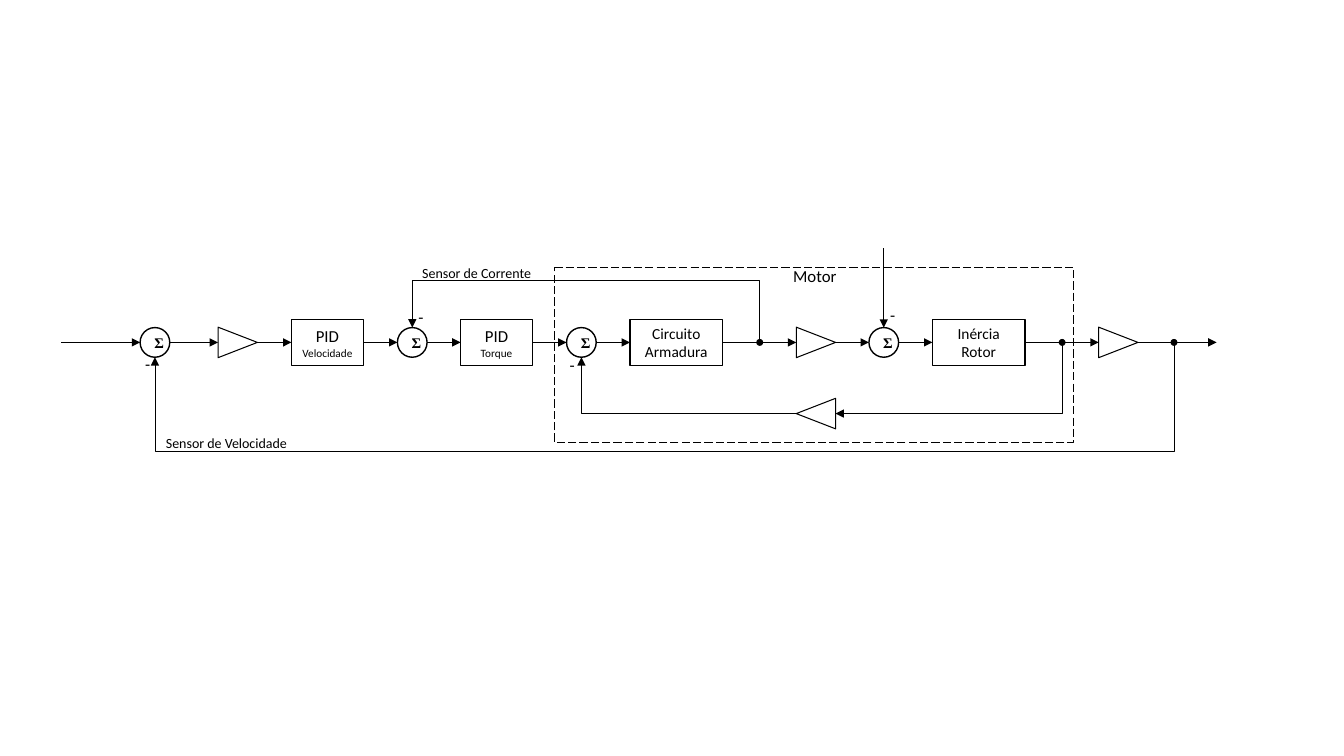
import math
import pptx
import pptx.util
import pptx.dml.color
import pptx.enum.dml
import pptx.enum.shapes
import pptx.enum.text
import pptx.oxml
import pptx.oxml.ns

Pt = pptx.util.Pt
SHAPE = pptx.enum.shapes.MSO_SHAPE
LINK = pptx.enum.shapes.MSO_CONNECTOR
ALIGN = pptx.enum.text.PP_ALIGN
ANCHOR = pptx.enum.text.MSO_ANCHOR
COLORS = {"ink": "000000", "paper": "FFFFFF"}
NS = pptx.oxml.ns.nsdecls("a")


def rgb(name):
    return pptx.dml.color.RGBColor.from_string(COLORS[name])


def write(tf, text, sizes=(12,), font="Calibri", bold=False,
          align=ALIGN.CENTER, anchor=ANCHOR.MIDDLE):
    tf.word_wrap = True
    tf.vertical_anchor = anchor
    for i, line in enumerate(text.split("\n")):
        p = tf.paragraphs[0] if i == 0 else tf.add_paragraph()
        p.alignment = align
        r = p.add_run()
        r.text = line
        r.font.size = Pt(sizes[min(i, len(sizes) - 1)])
        r.font.name = font
        r.font.bold = bold
        r.font.color.rgb = rgb("ink")


class Diagram:
    axis = 244.6
    sum_size = 21.2
    gain_length, gain_height = 28.1, 21.8
    block_height = 32.5
    dot_size = 3.9
    wire_width = 0.5

    def __init__(self, slide):
        self.slide = slide

    def shape(self, kind, cx, cy, w, h, fill=None, line=1):
        sp = self.slide.shapes.add_shape(kind, Pt(cx - w / 2), Pt(cy - h / 2), Pt(w), Pt(h))
        sp.shadow.inherit = False
        if fill:
            sp.fill.solid()
            sp.fill.fore_color.rgb = rgb(fill)
        else:
            sp.fill.background()
        sp.line.color.rgb = rgb("ink")
        sp.line.width = Pt(line)
        return sp

    def frame(self, x, y, w, h):
        sp = self.shape(SHAPE.FLOWCHART_PROCESS, x + w / 2, y + h / 2, w, h, line=0.75)
        sp.line.dash_style = pptx.enum.dml.MSO_LINE.LONG_DASH

    def block(self, cx, w, text, sizes):
        sp = self.shape(SHAPE.FLOWCHART_PROCESS, cx, self.axis, w, self.block_height, "paper")
        write(sp.text_frame, text, sizes=sizes)

    def summer(self, cx):
        sp = self.shape(SHAPE.FLOWCHART_CONNECTOR, cx, self.axis, self.sum_size, self.sum_size, "paper")
        write(sp.text_frame, "Σ", sizes=(10.5,), font="Times New Roman", bold=True)

    def gain(self, cx, cy, rotation=90):
        sp = self.shape(SHAPE.ISOSCELES_TRIANGLE, cx, cy, self.gain_height, self.gain_length, line=0.75)
        sp.rotation = rotation

    def dot(self, cx):
        self.shape(SHAPE.OVAL, cx, self.axis, self.dot_size, self.dot_size, "ink")

    def label(self, x, y, w, h, text, **fmt):
        sp = self.slide.shapes.add_textbox(Pt(x), Pt(y), Pt(w), Pt(h))
        write(sp.text_frame, text, **fmt)

    def wire(self, start, end, kind=LINK.STRAIGHT):
        cx = self.slide.shapes.add_connector(kind, *[Pt(v) for v in (*start, *end)])
        cx.line.color.rgb = rgb("ink")
        cx.line.width = Pt(self.wire_width)
        ln = cx.line._get_or_add_ln()
        ln.append(pptx.oxml.parse_xml(f'<a:tailEnd {NS} type="triangle"/>'))
        cx._element.spPr.append(pptx.oxml.parse_xml(f"<a:effectLst {NS}/>"))
        return cx

    def elbow(self, start, end, rotation, reach=None):
        mx, my = (start[0] + end[0]) / 2, (start[1] + end[1]) / 2
        cos = round(math.cos(math.radians(rotation)))
        sin = round(math.sin(math.radians(rotation)))

        def unturn(point):
            dx, dy = point[0] - mx, point[1] - my
            return mx + dx * cos + dy * sin, my - dx * sin + dy * cos

        a, b = unturn(start), unturn(end)
        cx = self.wire(a, b, LINK.ELBOW)
        spPr = cx._element.spPr
        spPr.xfrm.set("rot", str(rotation * 60000))
        geom = spPr.find(pptx.oxml.ns.qn("a:prstGeom"))
        if reach is None:
            geom.set("prst", "bentConnector2")
        else:
            ratio = round(reach / abs(b[0] - a[0]) * 100000)
            geom.get_or_add_avLst().append(
                pptx.oxml.parse_xml(f'<a:gd {NS} name="adj1" fmla="val {ratio}"/>'))


def main():
    prs = pptx.Presentation()
    prs.slide_width, prs.slide_height = Pt(960), Pt(540)
    d = Diagram(prs.slides.add_slide(prs.slide_layouts[6]))
    axis, radius = d.axis, d.sum_size / 2

    speed_sum, torque_sum, armature_sum, load_sum = 110.7, 294.5, 415.3, 631.3
    current_tap, rotor_tap, speed_tap = 542.7, 758.7, 838.6
    feedback_gain, feedback_y = 582.8, 295.4
    dot_edge = axis + d.dot_size / 2

    d.frame(396, 190.8, 370.8, 125.3)

    stages = [
        ("sum", speed_sum),
        ("gain", 169.8),
        ("block", 233.9, 51.4, "PID\nVelocidade", (12, 8)),
        ("sum", torque_sum),
        ("block", 354.7, 51.4, "PID\nTorque", (12, 8)),
        ("sum", armature_sum),
        ("block", 483.1, 66.2, "Circuito Armadura", (11,)),
        ("gain", feedback_gain),
        ("sum", load_sum),
        ("block", 699.1, 66.2, "Inércia\nRotor", (11,)),
        ("gain", 798.8),
    ]
    left = 43.6
    for kind, cx, *details in stages:
        if kind == "sum":
            width = d.sum_size
            d.summer(cx)
        elif kind == "gain":
            width = d.gain_length
            d.gain(cx, axis)
        else:
            width = details[0]
            d.block(cx, *details)
        d.wire((left, axis), (cx - width / 2, axis))
        left = cx + width / 2
    d.wire((left, axis), (869, axis))
    d.wire((load_sum, 177.2), (load_sum, axis - radius))

    half = d.gain_length / 2
    d.gain(feedback_gain, feedback_y, rotation=270)
    d.elbow((rotor_tap, dot_edge), (feedback_gain + half, feedback_y), 90)
    d.elbow((feedback_gain - half, feedback_y), (armature_sum, axis + radius), 180)
    d.elbow((current_tap, axis - d.dot_size / 2), (torque_sum, axis - radius), 270, reach=42.3)
    d.elbow((speed_tap, dot_edge), (speed_sum, axis + radius), 90, reach=76)
    for tap in (current_tap, rotor_tap, speed_tap):
        d.dot(tap)

    for x, y in ((398.2, 249.8), (290.2, 215.3), (95, 249.1), (627.1, 213.8)):
        d.label(x, y, 20.9, 21.6, "-", anchor=ANCHOR.TOP)
    d.label(558, 186.5, 48.2, 21.6, "Motor")
    d.label(294.5, 185, 95.8, 19.4, "Sensor de Corrente", sizes=(10,), align=ALIGN.LEFT)
    d.label(110.2, 306.7, 103, 19.4, "Sensor de Velocidade", sizes=(10,))

    prs.save("out.pptx")


if __name__ == "__main__":
    main()
